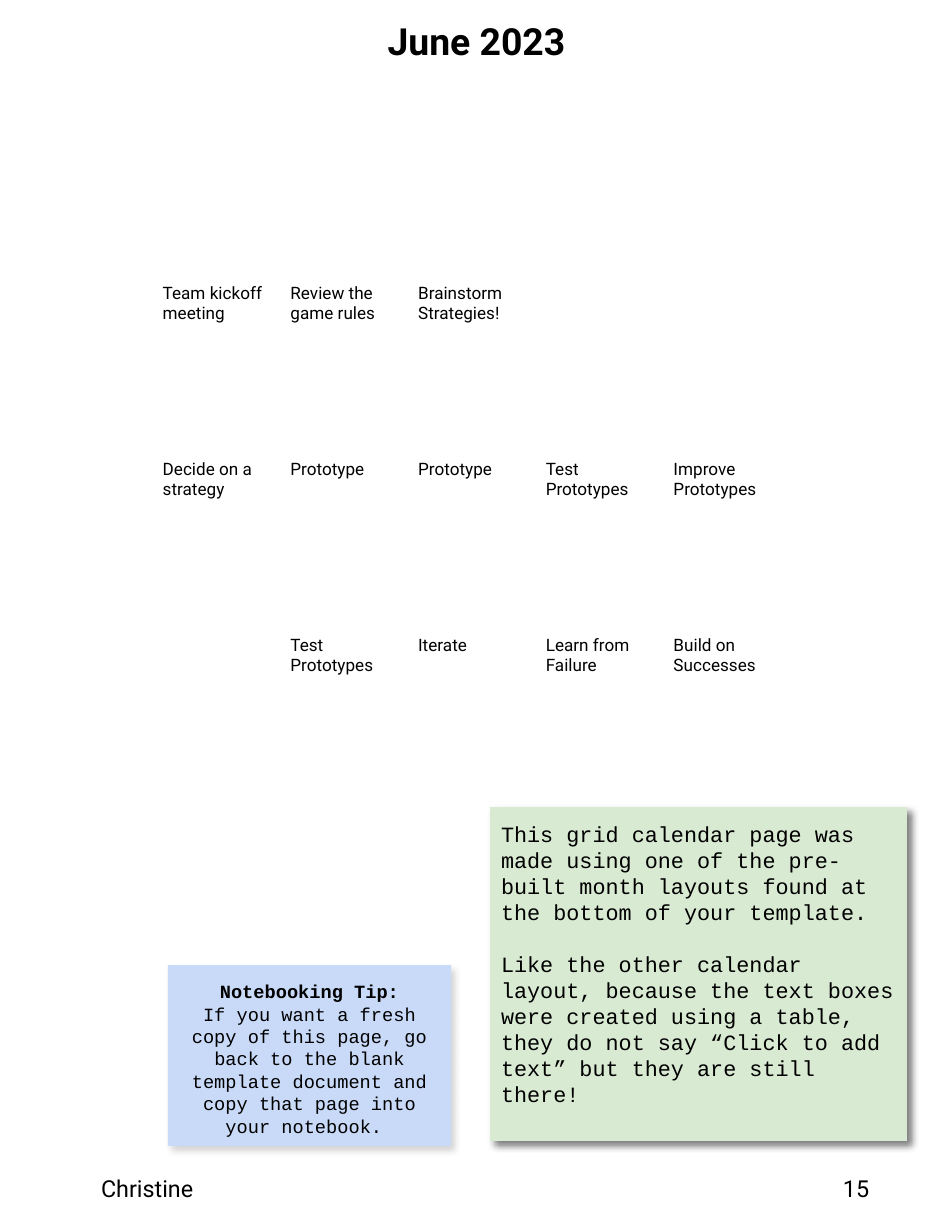
from dataclasses import dataclass

from lxml import etree
from pptx import Presentation
from pptx.dml.color import RGBColor
from pptx.enum.shapes import MSO_SHAPE
from pptx.enum.text import MSO_ANCHOR, PP_ALIGN
from pptx.oxml.ns import qn
from pptx.util import Pt

RECT = MSO_SHAPE.RECTANGLE
LEFT, CENTER = PP_ALIGN.LEFT, PP_ALIGN.CENTER
TOP, MIDDLE = MSO_ANCHOR.TOP, MSO_ANCHOR.MIDDLE
SCALE = 914400 / 112
COLORS = {"ink": "000000", "green": "D9EAD3", "blue": "C9DAF8"}
SANS, MONO = "Roboto", "Courier New"


@dataclass
class Label:
    text: str
    box: tuple[int, int, int, int]
    size: int
    bold: bool = False
    align: PP_ALIGN = LEFT


@dataclass
class Note:
    paras: list[str]
    box: tuple[int, int, int, int]
    fill: str
    size: int
    pitch: float
    gap: float
    inset: int
    shade: int
    align: PP_ALIGN = LEFT
    anchor: MSO_ANCHOR = TOP
    head: bool = False


LABELS = [
    Label("June 2023", (30, 18, 893, 50), 24, True, CENTER),
    Label("Christine", (101, 1174, 393, 26), 15),
    Label("15", (843, 1174, 83, 26), 15),
]
GRID = (29, 91, 894)
ROWS = [171, 176, 176, 176, 176, 176]
DAYS = 7
PLANS = {
    (1, 1): ["Team kickoff meeting", "Review the game rules", "Brainstorm Strategies!"],
    (2, 1): ["Decide on a strategy", "Prototype", "Prototype", "Test Prototypes",
             "Improve Prototypes"],
    (3, 2): ["Test Prototypes", "Iterate", "Learn from Failure", "Build on Successes"],
}
NOTES = [
    Note(["This grid calendar page was made using one of the pre-built month layouts "
          "found at the bottom of your template.",
          "Like the other calendar layout, because the text boxes were created using a "
          "table, they do not say “Click to add text” but they are still there!"],
         (490, 807, 417, 334), "green", 14, 16.7, 16.7, 14, 50),
    Note(["Notebooking Tip:",
          "If you want a fresh copy of this page, go back to the blank template document "
          "and copy that page into your notebook. "],
         (168, 965, 283, 181), "blue", 12, 14.4, 0, 17, 17, CENTER, MIDDLE, True),
]


def px(n: float) -> int:
    return round(n * SCALE)


def style(para, face: str, size: int, bold: bool = False) -> None:
    for run in para.runs:
        font = run.font
        font.name, font.size, font.bold = face, Pt(size), bold
        font.color.rgb = RGBColor.from_string(COLORS["ink"])


def pad(item, left: int, top: int, right: int, low: int) -> None:
    item.margin_left, item.margin_top = px(left), px(top)
    item.margin_right, item.margin_bottom = px(right), px(low)


def cast(shape, alpha: int) -> None:
    """Give the shape a soft outer shadow of the given opacity."""
    shape.shadow.inherit = False
    effects = shape._element.spPr.find(qn("a:effectLst"))
    outer = etree.SubElement(effects, qn("a:outerShdw"), blurRad=str(Pt(4.5)),
                             dist=str(Pt(3.75)), dir=str(46 * 60000),
                             algn="bl", rotWithShape="0")
    color = etree.SubElement(outer, qn("a:srgbClr"), val=COLORS["ink"])
    etree.SubElement(color, qn("a:alpha"), val=str(alpha * 1000))


def add_label(slide, label: Label) -> None:
    frame = slide.shapes.add_textbox(*map(px, label.box)).text_frame
    frame.word_wrap = True
    pad(frame, 0, 0, 0, 0)
    frame.text = label.text
    para = frame.paragraphs[0]
    para.alignment = label.align
    style(para, SANS, label.size, label.bold)


def add_grid(slide) -> None:
    left, top, width = GRID
    table = slide.shapes.add_table(len(ROWS), DAYS, px(left), px(top),
                                   px(width), px(sum(ROWS))).table
    table.first_row = table.horz_banding = False
    for row, high in zip(table.rows, ROWS):
        row.height = px(high)
    for col in table.columns:
        col.width = px(width / DAYS)
    for cell in table.iter_cells():
        cell.fill.background()
    for (row, start), plans in PLANS.items():
        for day, plan in enumerate(plans, start):
            cell = table.cell(row, day)
            pad(cell, 6, 22, 6, 6)
            cell.text = plan
            style(cell.text_frame.paragraphs[0], SANS, 11)


def add_note(slide, note: Note) -> None:
    shape = slide.shapes.add_shape(RECT, *map(px, note.box))
    shape.fill.solid()
    shape.fill.fore_color.rgb = RGBColor.from_string(COLORS[note.fill])
    shape.line.fill.background()
    cast(shape, note.shade)
    frame = shape.text_frame
    frame.word_wrap = True
    frame.vertical_anchor = note.anchor
    pad(frame, 11, note.inset, 11, 11)
    frame.text = "\n".join(note.paras)
    for i, para in enumerate(frame.paragraphs):
        para.alignment = note.align
        para.line_spacing = Pt(note.pitch)
        if i and note.gap:
            para.space_before = Pt(note.gap)
        style(para, MONO, note.size, note.head and i == 0)


def main() -> None:
    deck = Presentation()
    deck.slide_width, deck.slide_height = px(952), px(1232)
    slide = deck.slides.add_slide(deck.slide_layouts[6])
    for label in LABELS:
        add_label(slide, label)
    add_grid(slide)
    for note in NOTES:
        add_note(slide, note)
    deck.save("out.pptx")


if __name__ == "__main__":
    main()
